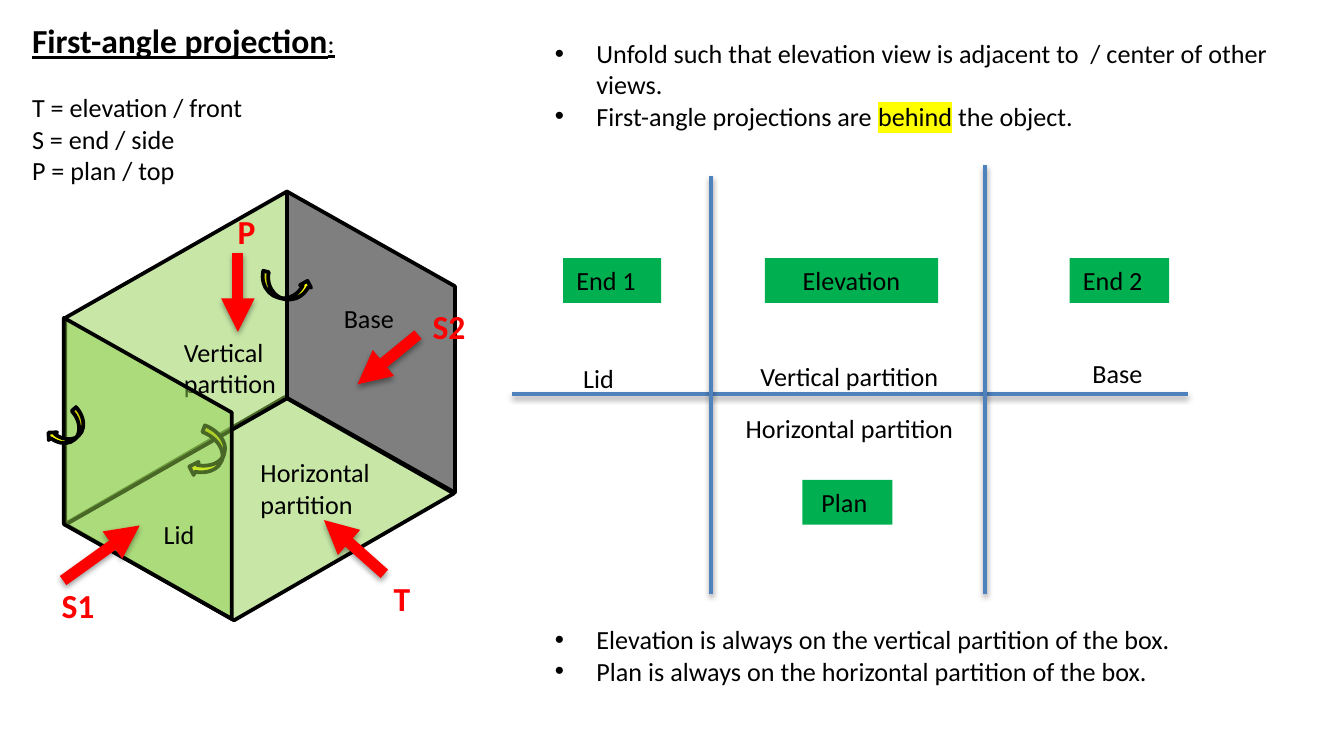
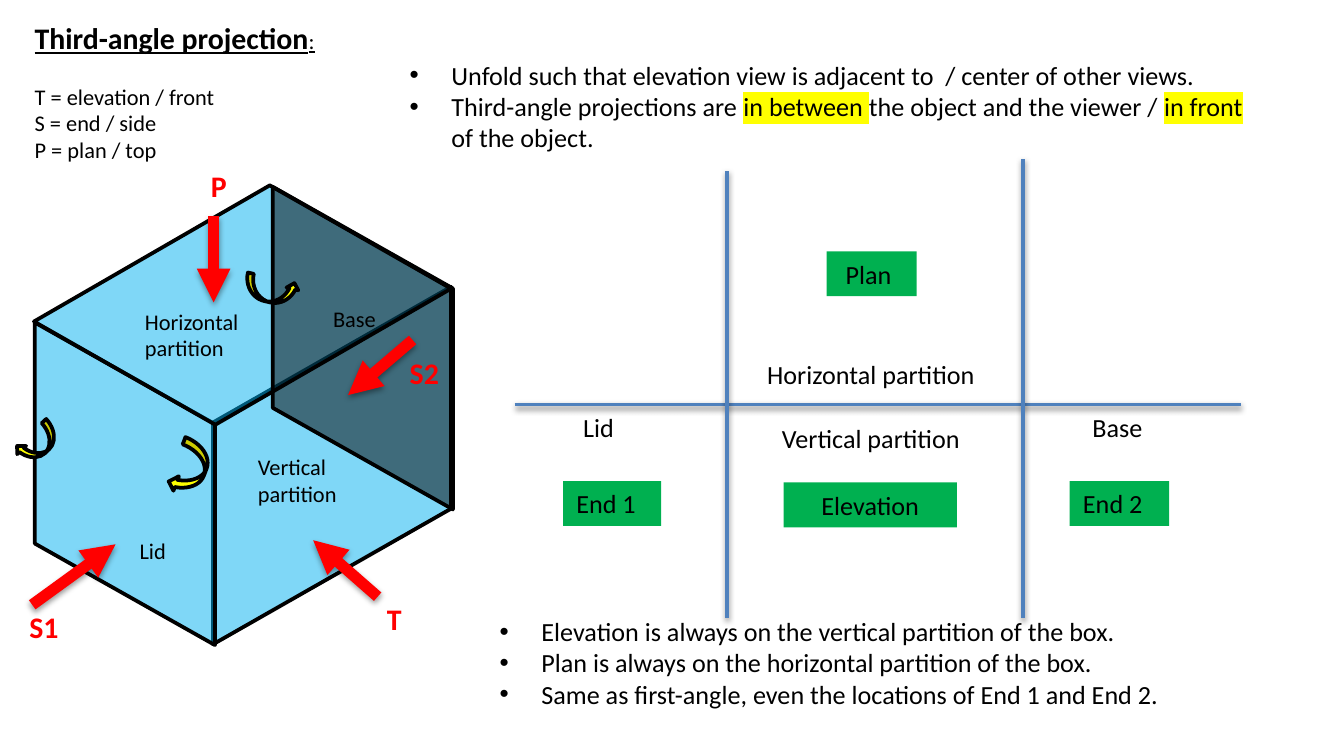
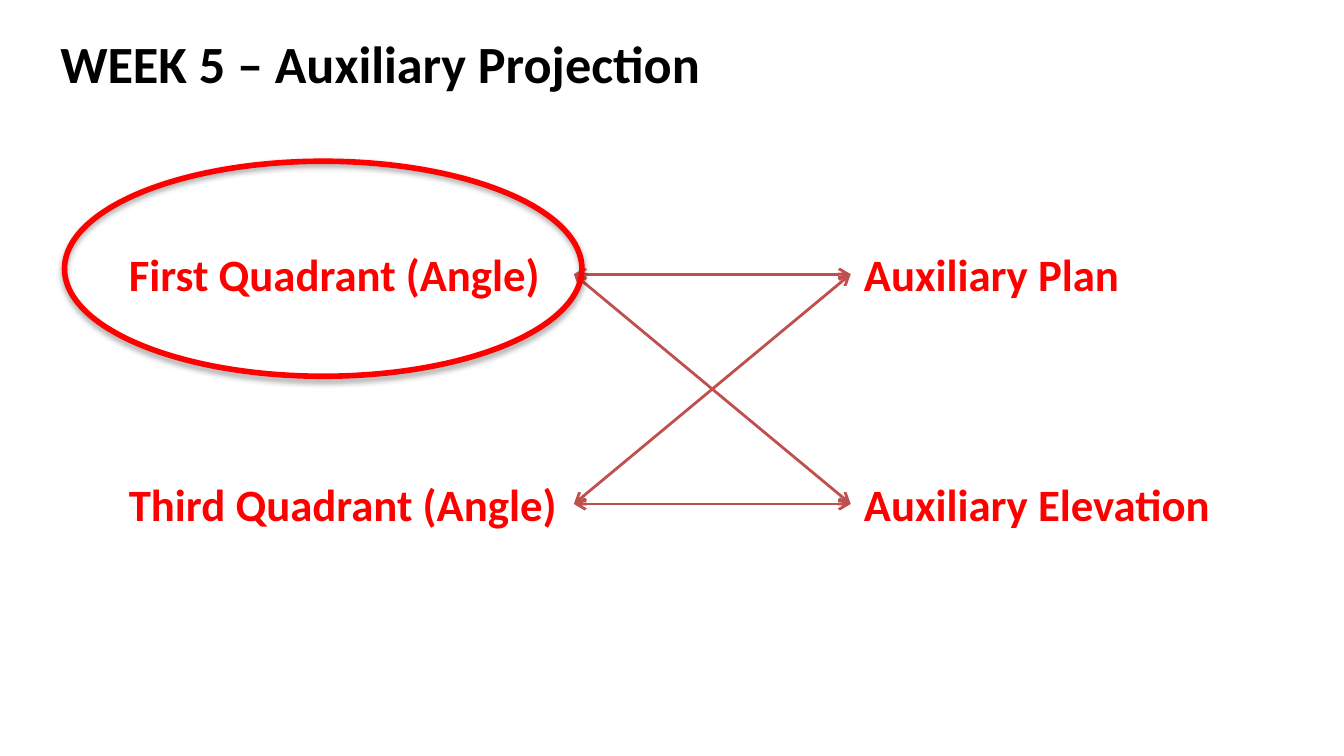
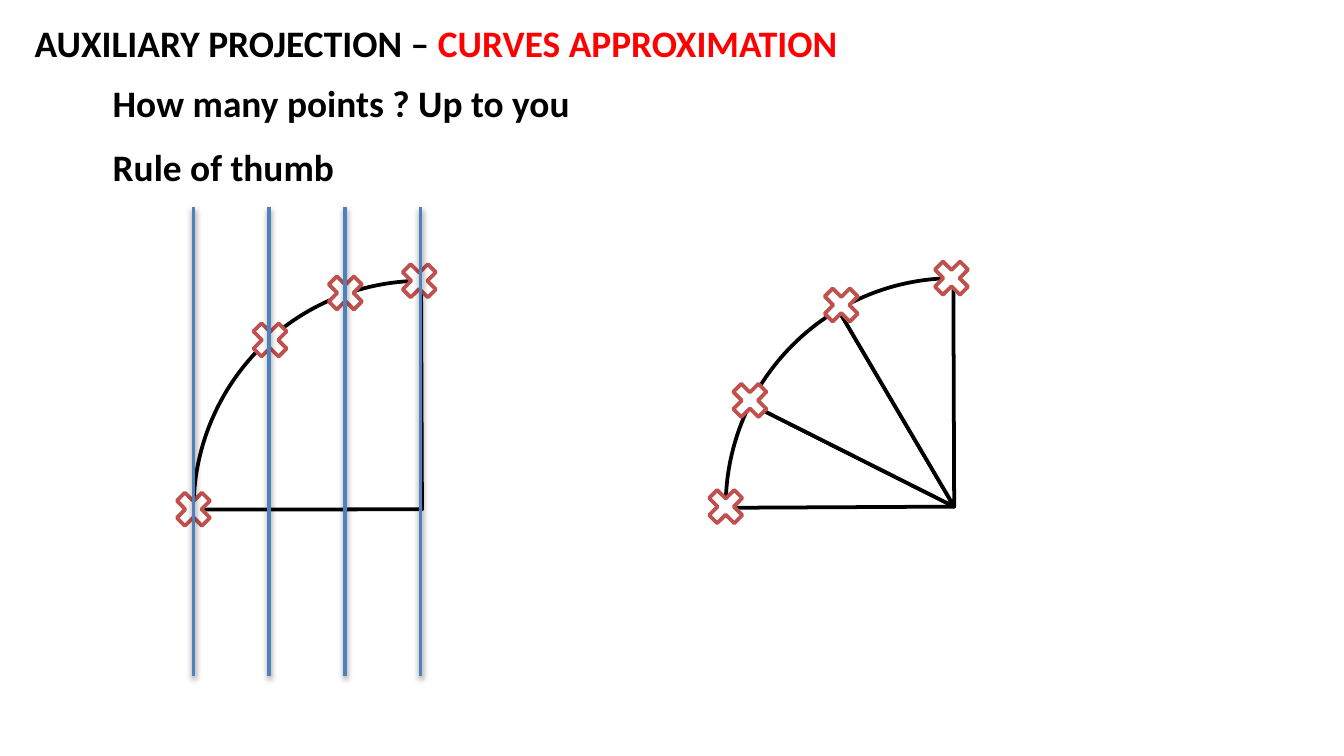
from dataclasses import dataclass
from functools import singledispatch
from itertools import pairwise
from typing import Any, Callable, NamedTuple

from lxml import etree
from pptx import Presentation, util as u
from pptx.dml.color import RGBColor
from pptx.enum import shapes as es, text as et
from pptx.oxml import ns

# Page of 16 to 9 with a grid of 100 columns by 56.25 rows
WIDE = u.Inches(10)
HIGH = u.Emu(WIDE * 9 // 16)
COL, ROW = WIDE / 100, HIGH / 56.25

FONT = "Calibri"
BLACK = RGBColor(0x00, 0x00, 0x00)
WHITE = RGBColor(0xFF, 0xFF, 0xFF)
RED = RGBColor(0xFF, 0x00, 0x00)
BRICK = RGBColor(0xC0, 0x50, 0x4D)
BLUE = RGBColor(0x4F, 0x81, 0xBD)
SKY = RGBColor(0x00, 0xB0, 0xF0)
LIME = RGBColor(0x92, 0xD0, 0x50)
GREEN = RGBColor(0x00, 0xB0, 0x50)
YELLOW = RGBColor(0xFF, 0xFF, 0x00)
KIND = es.MSO_SHAPE


# Parts of a slide, in columns and rows
class Box(NamedTuple):
    left: float
    top: float
    wide: float
    high: float


@dataclass
class Face:
    box: Box
    turn: float
    skew: float
    color: RGBColor
    flip: bool = False


@dataclass
class Curl:
    box: Box
    turn: float
    flip: bool = True


@dataclass
class Line:
    start: tuple[float, float]
    end: tuple[float, float]
    color: RGBColor = BLUE
    width: float = 2
    tail: str = ""


@dataclass
class Word:
    left: float
    top: float
    wide: float
    text: str
    size: int = 14
    color: RGBColor = BLACK
    bold: bool = False
    center: bool = False
    rows: int = 1


@dataclass
class Tag:
    left: float
    top: float
    wide: float
    text: str
    center: bool = False


@dataclass
class Key:
    left: float
    wide: float
    title: str
    size: int


@dataclass
class Notes:
    left: float
    top: float
    wide: float
    lines: list[str]
    rows: int


@dataclass
class Pie:
    box: Box
    start: float
    end: float


@dataclass
class Cross:
    left: float
    top: float


# Helpers
def place(box: Box) -> tuple[int, int, int, int]:
    return (round(box.left * COL), round(box.top * ROW),
            round(box.wide * COL), round(box.high * ROW))


def height(size: float, rows: int = 1) -> float:
    return 1 + rows * size / 6


def child(node: Any, tag: str, **values: Any) -> Any:
    return etree.SubElement(node, ns.qn(tag), {k: str(v) for k, v in values.items()})


def shade(part: Any, alpha: int = 38, dist: float = 1.6) -> None:
    effect = part.element.spPr.find(ns.qn("a:effectLst"))
    cast = child(effect, "a:outerShdw", blurRad=u.Pt(3.1), dist=u.Pt(dist),
                 dir=90 * 60000, rotWithShape=0)
    tint = child(cast, "a:srgbClr", val=BLACK)
    child(tint, "a:alpha", val=alpha * 1000)


def add_form(slide: Any, kind: Any, box: Box, fill: RGBColor | None,
             line: RGBColor | None = None, width: float = 2) -> Any:
    form = slide.shapes.add_shape(kind, *place(box))
    form.shadow.inherit = False
    if fill is None:
        form.fill.background()
    else:
        form.fill.solid()
        form.fill.fore_color.rgb = fill
    if line is None:
        form.line.fill.background()
    else:
        form.line.color.rgb = line
        form.line.width = u.Pt(width)
    return form


def rotate(form: Any, turn: float, flip: bool) -> None:
    form.rotation = turn
    if flip:
        form.element.spPr.find(ns.qn("a:xfrm")).set("flipV", "1")


def add_line(slide: Any, start: tuple[float, float], end: tuple[float, float],
             color: RGBColor, width: float, head: str = "", tail: str = "") -> Any:
    line = slide.shapes.add_connector(
        es.MSO_CONNECTOR.STRAIGHT, round(start[0] * COL), round(start[1] * ROW),
        round(end[0] * COL), round(end[1] * ROW))
    line.line.color.rgb = color
    line.line.width = u.Pt(width)
    stroke = line.element.spPr.find(ns.qn("a:ln"))
    for name, style in (("a:headEnd", head), ("a:tailEnd", tail)):
        if style:
            child(stroke, name, type=style)
    child(line.element.spPr, "a:effectLst")
    return line


def bullet(para: Any) -> None:
    props = para._p.get_or_add_pPr()
    props.set("marL", str(u.Inches(0.31)))
    props.set("indent", str(-u.Inches(0.31)))
    child(props, "a:buFont", typeface="Arial")
    child(props, "a:buChar", char="•")


def glow(run: Any) -> None:
    face = run._r.get_or_add_rPr().find(ns.qn("a:latin"))
    light = etree.Element(ns.qn("a:highlight"))
    child(light, "a:srgbClr", val=YELLOW)
    face.addprevious(light)


def redden(run: Any) -> None:
    run.font.color.rgb = RED


def write(frame: Any, lines: list[str], size: float, color: RGBColor = BLACK,
          bold: bool = False, center: bool = False, bullets: bool = False,
          mark: Callable[[Any], None] = glow) -> None:
    """Text between bars is marked."""
    frame.word_wrap = True
    frame.auto_size = et.MSO_AUTO_SIZE.SHAPE_TO_FIT_TEXT
    for i, line in enumerate(lines):
        para = frame.add_paragraph() if i else frame.paragraphs[0]
        para.alignment = et.PP_ALIGN.CENTER if center else et.PP_ALIGN.LEFT
        if bullets:
            bullet(para)
        for j, piece in enumerate(line.split("|")):
            if not piece:
                continue
            run = para.add_run()
            run.text = piece
            run.font.name, run.font.size = FONT, u.Pt(size)
            run.font.bold, run.font.color.rgb = bold, color
            if j % 2:
                mark(run)


def add_text(slide: Any, box: Box, lines: list[str], size: float, **style: Any) -> Any:
    area = slide.shapes.add_textbox(*place(box))
    write(area.text_frame, lines, size, **style)
    return area


# One drawing rule for each kind of part
@singledispatch
def draw(part: Any, slide: Any) -> Any:
    raise TypeError(part)


@draw.register
def _(part: Face, slide: Any) -> None:
    form = add_form(slide, KIND.PARALLELOGRAM, part.box, part.color, BLACK)
    form.adjustments[0] = part.skew
    rotate(form, part.turn, part.flip)
    tint = form.element.spPr.find(ns.qn("a:solidFill"))[0]
    child(tint, "a:alpha", val=50000)


@draw.register
def _(part: Curl, slide: Any) -> None:
    form = add_form(slide, KIND.CURVED_RIGHT_ARROW, part.box, YELLOW, BLACK)
    rotate(form, part.turn, part.flip)


@draw.register
def _(part: Line, slide: Any) -> None:
    shade(add_line(slide, part.start, part.end, part.color, part.width, tail=part.tail))


@draw.register
def _(part: Word, slide: Any) -> Any:
    box = Box(part.left, part.top, part.wide, height(part.size, part.rows))
    return add_text(slide, box, [part.text], part.size, color=part.color,
                    bold=part.bold, center=part.center, mark=redden)


@draw.register
def _(part: Tag, slide: Any) -> None:
    form = add_form(slide, KIND.RECTANGLE,
                    Box(part.left, part.top, part.wide, height(14)), GREEN)
    write(form.text_frame, [part.text], 14, center=part.center)


@draw.register
def _(part: Key, slide: Any) -> None:
    def head(run: Any) -> None:
        run.font.bold, run.font.size = True, u.Pt(part.size + 4)

    lines = [f"|{part.title}|:", "T = elevation / front", "S = end / side", "P = plan / top"]
    box = Box(part.left, 1, part.wide, height(part.size, 5) + 0.7)
    area = add_text(slide, box, lines, part.size, mark=head)
    first, second = area.text_frame.paragraphs[:2]
    for run in first.runs:
        run.font.underline = True
    second.space_before = u.Pt(part.size * 1.2)


@draw.register
def _(part: Notes, slide: Any) -> None:
    box = Box(part.left, part.top, part.wide, height(14, part.rows))
    add_text(slide, box, part.lines, 14, bullets=True)


@draw.register
def _(part: Pie, slide: Any) -> None:
    form = add_form(slide, KIND.PIE, part.box, WHITE, BLACK)
    for i, angle in enumerate((part.start, part.end)):
        form.adjustments[i] = angle * 0.6


@draw.register
def _(part: Cross, slide: Any) -> None:
    add_form(slide, KIND.MATH_MULTIPLY, Box(part.left, part.top, 3.6, 3.6), WHITE, BRICK)


def arrow(x: float, y: float, to_x: float, to_y: float) -> Line:
    return Line((x, y), (to_x, to_y), RED, 6, "triangle")


def sign(left: float, top: float, wide: float, text: str, size: int) -> Word:
    return Word(left, top, wide, text, size, RED, True)


UNFOLD = "Unfold such that elevation view is adjacent to  / center of other views."
ALWAYS = ["Elevation is always on the vertical partition of the box.",
          "Plan is always on the horizontal partition of the box."]

FIRST = [
    # Box seen from outside; the lid covers what lies behind it
    Face(Box(16.4, 19.2, 22.4, 12.5), 270, 0.564, BLACK),
    Face(Box(6.2, 31.6, 26.2, 12.5), 150, 0.585, LIME, True),
    Face(Box(0.7, 18.4, 24.8, 16.5), 270, 0.57, LIME, True),
    Key(1.4, 46.2, "First-angle projection", 14),
    Curl(Box(20.4, 19.5, 1.7, 3.8), 282.8, False),
    Curl(Box(14.5, 31.9, 2.1, 3.8), 200.7),
    Word(24.6, 22, 10.4, "Base"),
    Word(18.4, 33.5, 10.4, "Horizontal partition", rows=2),
    Word(12.7, 24.5, 10.4, "Vertical partition", rows=2),
    Face(Box(-0.2, 28.6, 22.4, 12.5), 270, 0.564, LIME),
    Word(11.2, 38.1, 10.4, "Lid"),
    Curl(Box(4.2, 30.4, 1.7, 3.2), 227.2),
    # Directions of view
    arrow(28.6, 42.7, 24.1, 38.7), sign(28.3, 42.5, 3.2, "T", 18),
    arrow(17.7, 18.8, 17.7, 24.7), sign(16.7, 15.2, 3.2, "P", 18),
    arrow(4.7, 43.2, 10.4, 39.1), sign(3.6, 43, 5.7, "S1", 18),
    arrow(31.1, 24.9, 26.6, 28.6), sign(31.2, 22.3, 4.9, "S2", 18),
    # Unfolded views
    Line((38.1, 29.3), (88.4, 29.3)),
    Line((73.3, 44.2), (73.3, 12.3)),
    Line((52.9, 44.2), (52.9, 13.1)),
    Word(55.6, 26.3, 17.8, "Vertical partition"),
    Word(54.5, 30.2, 17.8, "Horizontal partition"),
    Word(80.3, 26.1, 10.4, "Base"),
    Word(42.4, 26.5, 10.4, "Lid"),
    Tag(56.9, 19.2, 12.9, "Elevation", True),
    Tag(59.7, 35.7, 6.7, "Plan ", True),
    Tag(41.9, 19.2, 7.3, "End 1"),
    Tag(79.6, 19.2, 7.4, "End 2"),
    # Rules
    Notes(40.3, 2.3, 56.3,
          [UNFOLD, "First-angle projections are |behind| the object."], 3),
    Notes(40.3, 45.9, 56.3, ALWAYS, 2),
]

THIRD = [
    # Box seen from outside
    Face(Box(11.4, 25.8, 26.6, 17.7), 270, 0.57, SKY, True),
    Face(Box(-2.7, 29.3, 24, 13.4), 270, 0.564, SKY),
    Face(Box(4, 16, 28.1, 13.4), 150, 0.585, SKY, True),
    Face(Box(15, 19.2, 24, 13.4), 270, 0.564, BLACK),
    Key(1.6, 49.6, "Third-angle projection", 12),
    Curl(Box(19.3, 19.6, 1.8, 4), 282.8, False),
    Curl(Box(13, 32.8, 2.3, 4.1), 200.7),
    Curl(Box(1.9, 31.3, 1.8, 3.4), 227.2),
    Word(23.8, 22.2, 11.2, "Base", 12),
    Word(9.8, 22.4, 11.2, "Horizontal partition", 12, rows=2),
    Word(18.2, 33.2, 11.2, "Vertical partition", 12, rows=2),
    Word(9.4, 39.5, 11.2, "Lid", 12),
    # Directions of view
    arrow(28.1, 44.4, 23.3, 40.2), sign(27.8, 44.2, 3.4, "T", 16),
    arrow(15.9, 16.1, 15.9, 22.5), sign(14.7, 12, 3.4, "P", 16),
    arrow(2.4, 45, 8.6, 40.5), sign(1.2, 44.8, 6.1, "S1", 16),
    arrow(30.7, 25.3, 25.9, 29.4), sign(29.5, 25.9, 5.2, "S2", 16),
    # Unfolded views
    Line((38.3, 30.1), (92.3, 30.1)),
    Line((76.1, 46), (76.1, 11.8)),
    Line((54.1, 46), (54.1, 12.7)),
    Word(55.9, 30.9, 17.8, "Vertical partition", center=True),
    Word(55.9, 26.2, 17.8, "Horizontal partition ", center=True),
    Word(80.3, 30.1, 10.4, "Base"),
    Word(42.4, 30.1, 10.4, "Lid"),
    Tag(58.3, 35.9, 12.9, "Elevation", True),
    Tag(61.5, 18.7, 6.7, "Plan ", True),
    Tag(41.9, 35.8, 7.3, "End 1"),
    Tag(79.6, 35.8, 7.4, "End 2"),
    # Rules
    Notes(29.5, 3.9, 65.8,
          [UNFOLD, "Third-angle projections are |in between |the object and the viewer / "
                   "|in front |of the object."], 3),
    Notes(36.2, 45.3, 60.4,
          ALWAYS + ["Same as first-angle, even the locations of End 1 and End 2."], 3),
]

ROUND, SPLIT = Box(14.4, 20.9, 34, 34), Box(54, 20.7, 34, 34)
ANGLES = (179.7, 206.7, 239.5, 269.8)
CURVES = [
    Word(1.6, 1, 87.4, "AUXILIARY PROJECTION – |CURVES APPROXIMATION", 20, bold=True),
    Word(7.4, 5.5, 82.1, "How many points ? Up to you", 20, bold=True),
    Pie(ROUND, 179.95, 269.76),
    Word(7.4, 10.2, 82.1, "Rule of thumb", 20, bold=True),
    # Equal strips
    *(Cross(x, y) for x, y in ((29.4, 19.1), (12.6, 36.1), (23.9, 20), (18.3, 23.5))),
    *(Line((x, 15.4), (x, 50.3)) for x in (14.4 + 5.63 * i for i in range(4))),
    # Equal angles
    *(Pie(SPLIT, a, b) for a, b in pairwise(ANGLES)),
    *(Cross(x, y) for x, y in ((69, 18.9), (54, 28), (52.2, 35.9), (60.8, 20.9))),
]


def match(slide: Any) -> None:
    """Pair each quadrant with each auxiliary view."""
    draw(Word(3.5, 1.8, 86.2, "WEEK 5 – Auxiliary Projection", 28, bold=True), slide)
    rows = (17.9, 35)
    pairs = [[draw(sign(left, top, wide, text, 24), slide) for top, text in zip(rows, names)]
             for left, wide, names in (
                 (8.6, 34.1, ("First Quadrant (Angle)", "Third Quadrant (Angle)")),
                 (63.3, 29.7, ("Auxiliary Plan", "Auxiliary Elevation")))]
    for source in pairs[0]:
        for target in pairs[1]:
            link = add_line(slide, (0, 0), (1, 1), BRICK, 1.5, "arrow", "arrow")
            link.begin_connect(source, 3)
            link.end_connect(target, 1)
    ring = add_form(slide, KIND.OVAL, Box(4.8, 12, 38.5, 16), None, RED, 3)
    shade(ring, 35, 1.8)


def main() -> None:
    deck = Presentation()
    deck.slide_width, deck.slide_height = WIDE, HIGH
    for parts in (FIRST, THIRD, None, CURVES):
        slide = deck.slides.add_slide(deck.slide_layouts[6])
        if parts is None:
            match(slide)
            continue
        for part in parts:
            draw(part, slide)
    deck.save("out.pptx")


if __name__ == "__main__":
    main()
